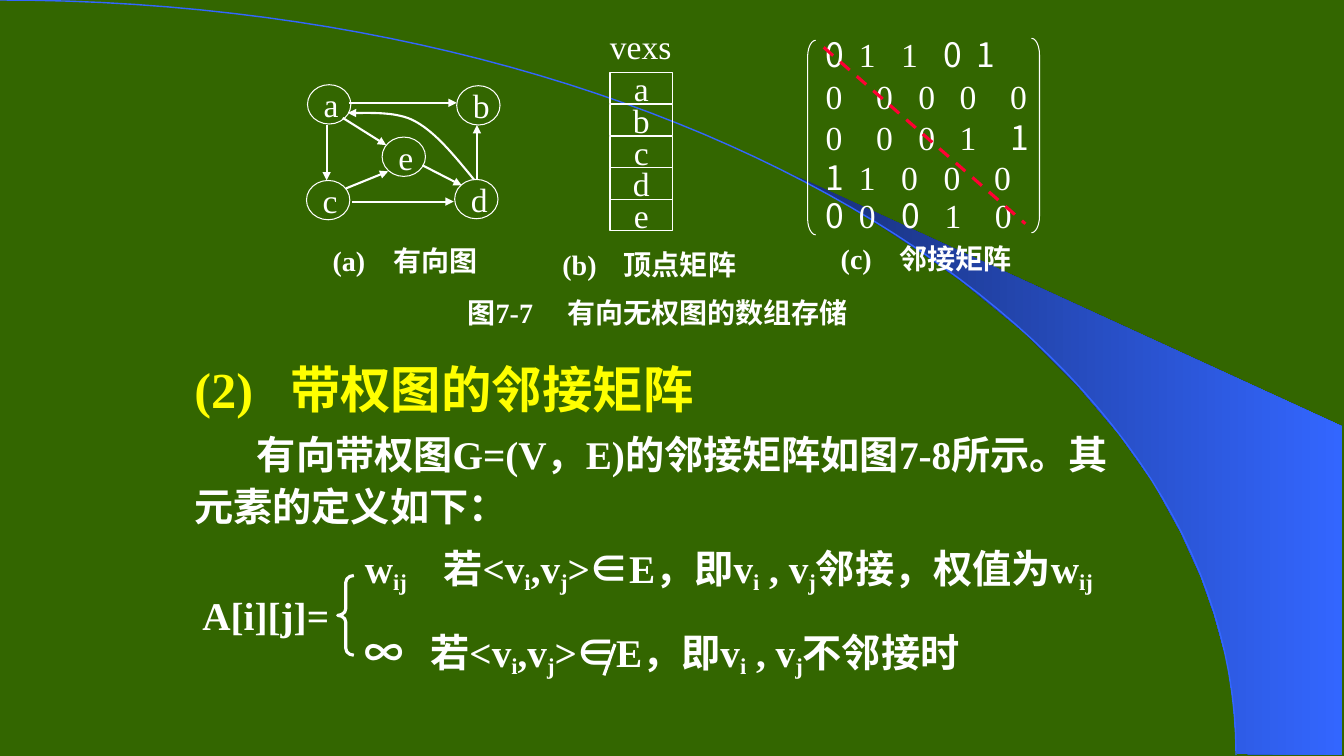
from dataclasses import dataclass

from lxml.etree import SubElement
from pptx import Presentation
from pptx.dml.color import RGBColor
from pptx.enum.dml import MSO_LINE_DASH_STYLE as Dash
from pptx.enum.shapes import MSO_CONNECTOR as Conn, MSO_SHAPE as Shape
from pptx.enum.text import MSO_ANCHOR as Anchor, PP_ALIGN as Align
from pptx.oxml.ns import qn
from pptx.util import Inches, Pt

COLORS = {"back": "336600", "navy": "182F76", "blue": "3366FF",
          "white": "FFFFFF", "yellow": "FFFF00", "red": "FF0033"}
SERIF, SANS = "Times New Roman", "Noto Sans CJK SC"

# Grid of 1333 columns and 750 rows; every length below counts cells
CELL = Inches(0.01)
COLS, ROWS = 1333, 750
FINE = 100  # path steps per cell
Point = tuple[float, float]


@dataclass
class Label:
    """Text in which _ toggles subscript and ~ toggles the sans font."""
    text: str
    x: float
    y: float
    w: float
    h: float = 35
    size: int = 24
    bold: bool = False
    tabs: tuple[int, ...] = ()


@dataclass
class Edge:
    start: Point
    end: Point


@dataclass
class Node:
    name: str
    x: int
    y: int


def rgb(name: str) -> RGBColor:
    return RGBColor.from_string(COLORS[name])


def style_line(sp, color: str = "white", width: float = 0.75, arrow: bool = False) -> None:
    sp.line.color.rgb = rgb(color)
    sp.line.width = Pt(width)
    if arrow:
        SubElement(sp.line._get_or_add_ln(), qn("a:tailEnd"), type="triangle")


def style_font(r, size: int, bold: bool = False, color: str = "white",
               name: str = SERIF, sub: bool = False) -> None:
    r.font.size, r.font.bold, r.font.name = Pt(size), bold, name
    r.font.color.rgb = rgb(color)
    rpr = r._r.get_or_add_rPr()
    SubElement(rpr, qn("a:ea"), typeface=SANS)
    if sub:
        rpr.set("baseline", "-18000")


def add_tabs(p, stops: tuple[int, ...]) -> None:
    if stops:
        tab_list = SubElement(p._p.get_or_add_pPr(), qn("a:tabLst"))
        for stop in stops:
            SubElement(tab_list, qn("a:tab"), pos=str(stop * CELL), algn="l")


def add_label(s, label: Label) -> None:
    sp = s.shapes.add_textbox(*(v * CELL for v in (label.x, label.y, label.w, label.h)))
    tf = sp.text_frame
    tf.word_wrap, tf.vertical_anchor, tf.margin_right = False, Anchor.MIDDLE, 0
    p = tf.paragraphs[0]
    add_tabs(p, label.tabs)
    sub, name = False, SERIF
    for i, part in enumerate(label.text.replace("~", "_~").split("_")):
        if part.startswith("~"):
            name = SANS if name == SERIF else SERIF
        elif i:
            sub = not sub
        part = part.lstrip("~")
        if part:
            r = p.add_run()
            r.text = part
            style_font(r, label.size, label.bold, name=name, sub=sub)


def add_outline(s, kind, x: float, y: float, w: float, h: float,
                text: str = "", align=Align.LEFT, width: float = 0.75):
    sp = s.shapes.add_shape(kind, *(v * CELL for v in (x, y, w, h)))
    sp.shadow.inherit = False
    sp.fill.background()
    style_line(sp, width=width)
    if text:
        tf = sp.text_frame
        tf.text = text
        tf.word_wrap, tf.vertical_anchor = False, Anchor.MIDDLE
        tf.paragraphs[0].alignment = align
        style_font(tf.paragraphs[0].runs[0], 24)
    return sp


def add_edge(s, edge: Edge, color: str = "white", width: float = 1.5, arrow: bool = True):
    ends = (v * CELL for v in edge.start + edge.end)
    sp = s.shapes.add_connector(Conn.STRAIGHT, *ends)
    style_line(sp, color, width, arrow)
    SubElement(sp._element.spPr, qn("a:effectLst"))
    return sp


def bezier(a: Point, b: Point, c: Point, d: Point, steps: int = 60) -> list[Point]:
    ts = [i / steps for i in range(steps + 1)]
    return [tuple((1 - t) ** 3 * a[k] + 3 * t * (1 - t) ** 2 * b[k]
                  + 3 * t * t * (1 - t) * c[k] + t ** 3 * d[k] for k in (0, 1)) for t in ts]


def add_path(s, points: list[Point], close: bool = False):
    first, *rest = [(x * FINE, y * FINE) for x, y in points]
    builder = s.shapes.build_freeform(*first, scale=CELL / FINE)
    builder.add_line_segments(rest, close=close)
    sp = builder.convert_to_shape()
    sp.shadow.inherit = False
    sp.fill.background()
    return sp


SWOOSH = [(1227, 748), (1331, 749), (1331, 423), (786, 173), (832, 199), (870, 222),
          (913, 250), (955, 280), (1016, 330), (1070, 384), (1110, 431), (1144, 479),
          (1171, 528), (1191, 572), (1204, 609), (1217, 656), (1223, 696)]
ARC = bezier((0, 0), (677, 0), (1226, 335), (1226, 749))
BACK_EDGE = (bezier((470, 178), (451, 155), (432, 131), (411, 120), 20)
             + bezier((411, 120), (391, 109), (356, 113), (345, 112), 20)[1:])

NODES = [Node("a", 305, 84), Node("c", 304, 179), Node("b", 453, 85),
         Node("d", 451, 178), Node("e", 379, 136)]
EDGES = [Edge((324, 124), (324, 179)), Edge((473, 179), (473, 124)),
         Edge((346, 102), (453, 102)), Edge((340, 117), (383, 144)),
         Edge((349, 200), (450, 200)), Edge((419, 164), (458, 184)),
         Edge((343, 187), (385, 170))]
CAPTIONS = [Label("(a)\t有向图", 320, 241, 165, size=20, bold=True, tabs=(60,)),
            Label("(b)\t顶点矩阵", 548, 245, 196, size=20, bold=True, tabs=(61,)),
            Label("(c)\t邻接矩阵", 824, 239, 200, size=20, bold=True, tabs=(58,)),
            Label("图7-7\t有向无权图的数组存储", 454, 292, 400, size=20, bold=True, tabs=(99,)),
            Label("vexs", 595, 28, 79)]
MATRIX = [(36, "~0~\t1\t1\t~0\t1", (33, 75, 117, 150)),
          (78, "0\t0\t0\t0\t0", (50, 92, 133, 183)),
          (118, "0\t0\t0\t1\t~1", (50, 92, 133, 183)),
          (158, "~1~\t1\t0\t0\t0", (33, 75, 117, 167)),
          (196, "~0~\t0\t~0~\t1\t0", (33, 75, 118, 168))]
FORMULA = [
    Label("w_ij_\t若<v_i_,v_j_>~∈~E，即v_i_ , v_j_邻接，权值为w_ij",
          352, 540, 800, 51, 28, True, (78,)),
    Label("~∞~\t若<v_i_,v_j_>~∈~E，即v_i_ , v_j_不邻接时",
          352, 623, 660, 51, 28, True, (65,)),
    Label("A[i][j]=", 191, 586, 140, 47, 28, True)]


def add_backdrop(s) -> None:
    s.background.fill.solid()
    s.background.fill.fore_color.rgb = rgb("back")
    swoosh = add_path(s, SWOOSH, close=True)
    swoosh.line.fill.background()
    swoosh.fill.gradient()
    swoosh.fill.gradient_angle = 0
    for stop, color in zip(swoosh.fill.gradient_stops, ("navy", "blue")):
        stop.color.rgb = rgb(color)
    style_line(add_path(s, ARC), "blue", 1)


def add_body(s) -> None:
    tf = s.shapes.add_textbox(*(v * CELL for v in (183, 344, 964, 189))).text_frame
    tf.word_wrap = True
    tf.text = "(2)\t带权图的邻接矩阵\n有向带权图G=(V，E)的邻接矩阵如图7-8所示。其元素的定义如下："
    title, body = tf.paragraphs
    add_tabs(title, (95,))
    body._p.get_or_add_pPr().set("indent", str(62 * CELL))
    body.space_before = Pt(5.6)
    for p, size, color in ((title, 36, "yellow"), (body, 28, "white")):
        p.line_spacing = 1.1
        style_font(p.runs[0], size, True, color)


def main() -> None:
    prs = Presentation()
    prs.slide_width, prs.slide_height = COLS * CELL, ROWS * CELL
    s = prs.slides.add_slide(prs.slide_layouts[6])
    add_backdrop(s)

    # Directed graph
    for node in NODES:
        add_outline(s, Shape.OVAL, node.x, node.y, 43, 39, node.name)
    for edge in EDGES:
        add_edge(s, edge)
    style_line(add_path(s, BACK_EDGE), width=1.5, arrow=True)

    # Vertex array
    for i, name in enumerate("abcde"):
        add_outline(s, Shape.RECTANGLE, 605, 72 + 31.5 * i, 62, 31, name, Align.CENTER)

    # Adjacency matrix with its diagonal
    for y, text, tabs in MATRIX:
        add_label(s, Label(text, 809, y, 225, tabs=tabs))
    for kind, x, y in ((Shape.LEFT_BRACKET, 801, 40), (Shape.RIGHT_BRACKET, 1023, 38)):
        add_outline(s, kind, x, y, 8, 193).adjustments[0] = 2.06
    diagonal = add_edge(s, Edge((817, 47), (1017, 222)), "red", 2.25, arrow=False)
    diagonal.line.dash_style = Dash.DASH

    # Captions, body text and definition
    for label in CAPTIONS + FORMULA:
        add_label(s, label)
    add_body(s)
    add_outline(s, Shape.LEFT_BRACE, 335, 571, 16, 79, width=2.25).adjustments[0] = 0.42
    add_edge(s, Edge((610, 639), (599, 670)), width=2.25, arrow=False)
    prs.save("out.pptx")


if __name__ == "__main__":
    main()
